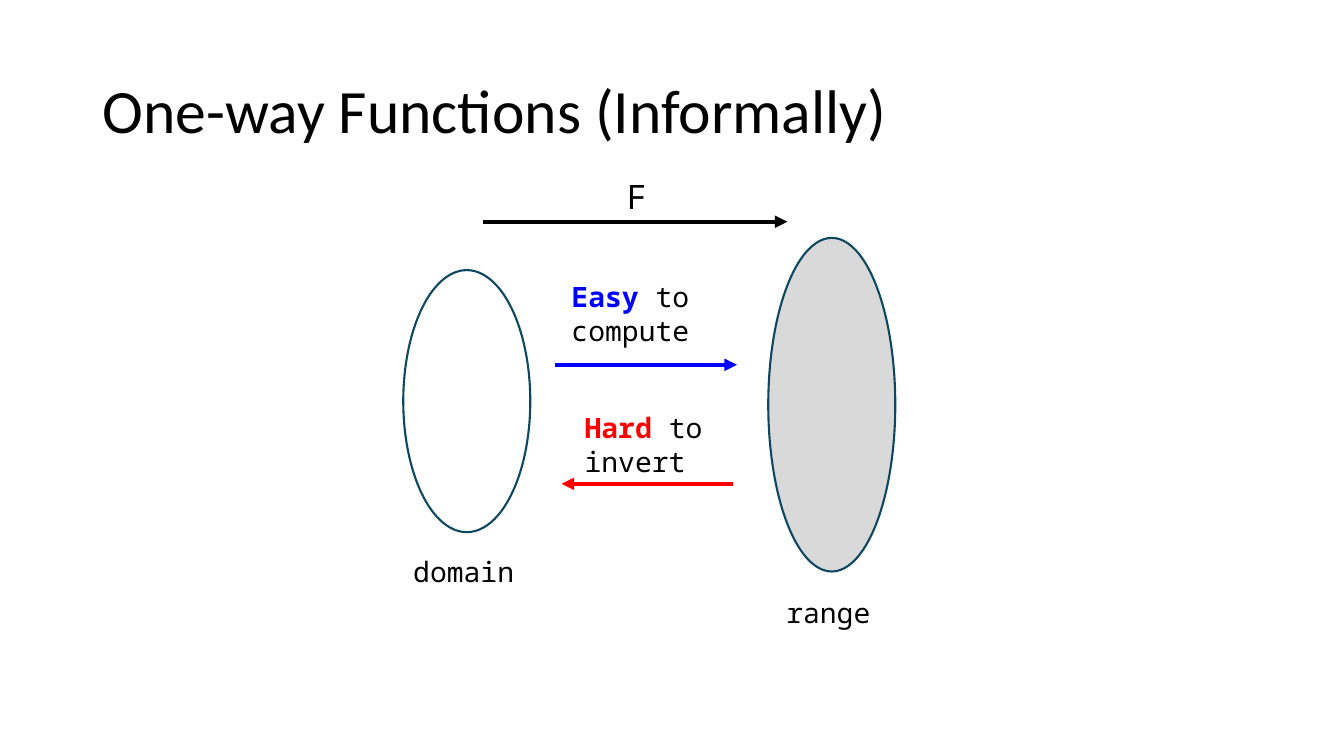
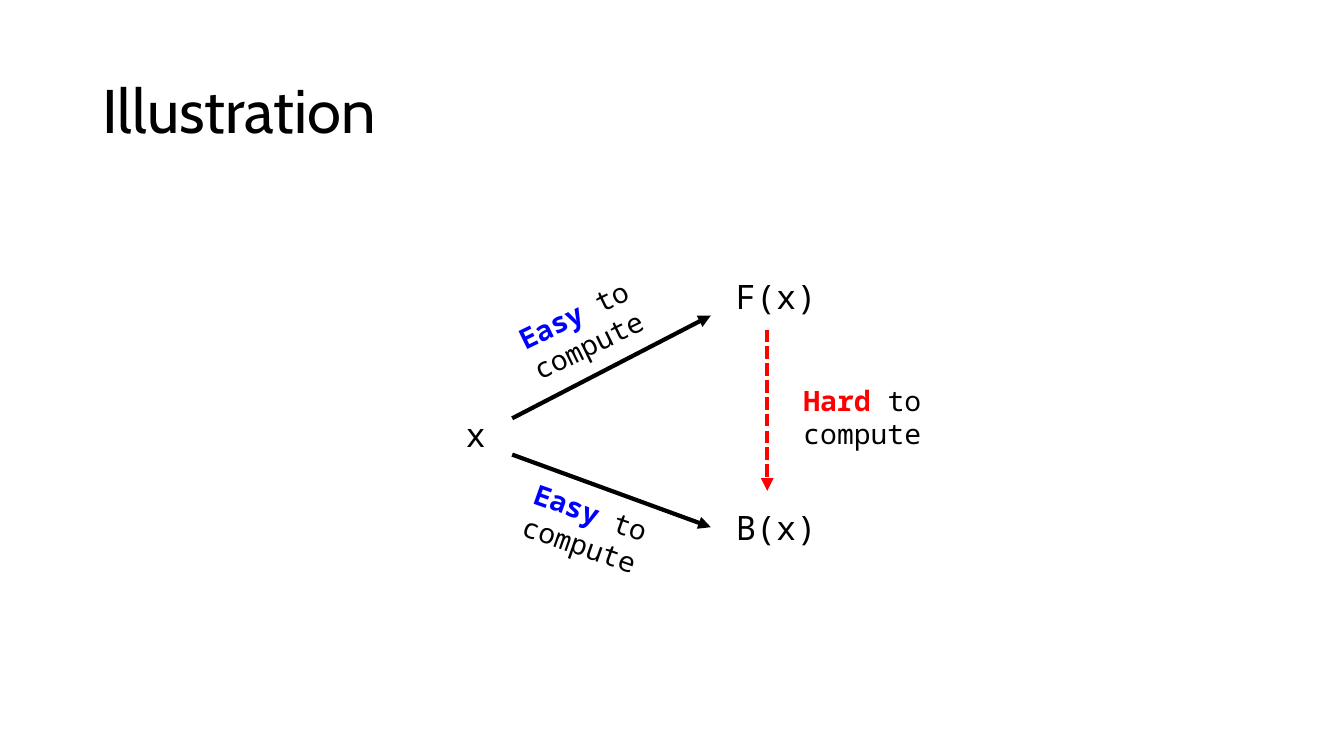
"""Build two slides that introduce one-way functions."""
from dataclasses import dataclass

from lxml import etree
from pptx import Presentation
from pptx import util as u
from pptx.dml.color import RGBColor
from pptx.enum import dml, shapes, text
from pptx.oxml import ns
from pptx.presentation import Presentation as Deck
from pptx.slide import Slide


@dataclass(frozen=True)
class Theme:
    ink: str = "000000"
    easy: str = "0000FF"
    hard: str = "FF0000"
    paper: str = "FFFFFF"
    shade: str = "D9D9D9"
    outline: str = "104760"
    mono: str = "Noto Sans Mono"
    title_pt: int = 44
    symbol_pt: int = 24
    label_pt: int = 20
    arrow_pt: float = 3
    outline_pt: float = 1.5


THEME = Theme()


@dataclass(frozen=True)
class Box:
    left: float
    top: float
    width: float
    height: float = 0.92

    def lengths(self) -> tuple[u.Length, ...]:
        return tuple(u.Inches(v) for v in (self.left, self.top, self.width, self.height))


TITLE_BOX = Box(0.92, 0.4, 11.5, 1.45)


@dataclass(frozen=True)
class Oval:
    box: Box
    fill: str


@dataclass(frozen=True)
class Arrow:
    start: tuple[float, float]
    end: tuple[float, float]
    color: str = THEME.ink
    dashed: bool = False


@dataclass(frozen=True)
class Label:
    box: Box
    wording: str
    size: int = THEME.label_pt
    keyword: str = ""
    color: str = THEME.ink
    rotation: float = 0


@dataclass(frozen=True)
class Page:
    title: str
    title_font: str
    diagram: tuple[Oval | Arrow | Label, ...]


def easy(box: Box, rotation: float = 0) -> Label:
    return Label(box, " to \ncompute", keyword="Easy", color=THEME.easy, rotation=rotation)


def hard(box: Box, verb: str) -> Label:
    return Label(box, f" to \n{verb}", keyword="Hard", color=THEME.hard)


def symbol(box: Box, wording: str) -> Label:
    return Label(box, wording, size=THEME.symbol_pt)


PAGES = (
    Page("One-way Functions (Informally)", "Calibri", (
        Oval(Box(4, 2.68, 1.26, 2.6), THEME.paper),
        Oval(Box(7.62, 2.36, 1.26, 3.31), THEME.shade),
        Arrow((4.79, 2.2), (7.81, 2.2)),
        symbol(Box(6.12, 1.48, 0.63), "F"),
        Label(Box(4, 5.21, 1.65), "domain"),
        Label(Box(7.7, 5.61, 1.65), "range"),
        Arrow((5.5, 3.62), (7.31, 3.62), THEME.easy),
        easy(Box(5.57, 2.65, 2.9)),
        Arrow((7.27, 4.8), (5.57, 4.8), THEME.hard),
        hard(Box(5.7, 3.95, 2.9), "invert"),
    )),
    Page("Illustration", "Cabin", (
        symbol(Box(4.52, 3.85, 0.63), "x"),
        Arrow((5.08, 4.15), (7.05, 3.13)),
        easy(Box(5, 2.43, 2.9, 1.01), rotation=-26),
        Arrow((5.08, 4.51), (7.05, 5.23)),
        easy(Box(5.08, 4.99, 2.9, 1.01), rotation=19.4),
        symbol(Box(7.2, 2.48, 1.32), "F(x)"),
        symbol(Box(7.2, 4.77, 1.32), "B(x)"),
        Arrow((7.61, 3.27), (7.61, 4.87), THEME.hard, dashed=True),
        hard(Box(7.87, 3.63, 2.9, 1.01), "compute"),
    )),
)


def add_run(paragraph, wording: str, font: str, size: int,
            color: str = THEME.ink, bold: bool = False) -> None:
    run = paragraph.add_run()
    run.text = wording
    run.font.name = font
    run.font.size = u.Pt(size)
    run.font.bold = bold
    run.font.color.rgb = RGBColor.from_string(color)


def set_title(slide: Slide, wording: str, font: str) -> None:
    title = slide.shapes.title
    title.left, title.top, title.width, title.height = TITLE_BOX.lengths()
    title.text_frame.vertical_anchor = text.MSO_ANCHOR.MIDDLE
    paragraph = title.text_frame.paragraphs[0]
    paragraph.alignment = text.PP_ALIGN.LEFT
    paragraph.line_spacing = 0.9
    add_run(paragraph, wording, font, THEME.title_pt)


def draw_oval(slide: Slide, oval: Oval) -> None:
    ellipse = slide.shapes.add_shape(shapes.MSO_SHAPE.OVAL, *oval.box.lengths())
    ellipse.shadow.inherit = False
    ellipse.fill.solid()
    ellipse.fill.fore_color.rgb = RGBColor.from_string(oval.fill)
    ellipse.line.color.rgb = RGBColor.from_string(THEME.outline)
    ellipse.line.width = u.Pt(THEME.outline_pt)


def draw_arrow(slide: Slide, arrow: Arrow) -> None:
    ends = (u.Inches(v) for v in (*arrow.start, *arrow.end))
    connector = slide.shapes.add_connector(shapes.MSO_CONNECTOR.STRAIGHT, *ends)
    connector.line.color.rgb = RGBColor.from_string(arrow.color)
    connector.line.width = u.Pt(THEME.arrow_pt)
    if arrow.dashed:
        connector.line.dash_style = dml.MSO_LINE.SQUARE_DOT
    properties = connector._element.spPr
    outline = properties.find(ns.qn("a:ln"))
    etree.SubElement(outline, ns.qn("a:tailEnd"), type="triangle")
    etree.SubElement(properties, ns.qn("a:effectLst"))


def draw_label(slide: Slide, label: Label) -> None:
    caption = slide.shapes.add_textbox(*label.box.lengths())
    caption.rotation = label.rotation
    frame = caption.text_frame
    frame.word_wrap = True
    frame.vertical_anchor = text.MSO_ANCHOR.MIDDLE
    paragraph = frame.paragraphs[0]
    if label.keyword:
        add_run(paragraph, label.keyword, THEME.mono, label.size, label.color, bold=True)
    for index, line in enumerate(label.wording.split("\n")):
        if index:
            paragraph.add_line_break()
        add_run(paragraph, line, THEME.mono, label.size)


DRAWERS = {Oval: draw_oval, Arrow: draw_arrow, Label: draw_label}


def build_page(deck: Deck, page: Page) -> None:
    slide = deck.slides.add_slide(deck.slide_layouts.get_by_name("Title Only"))
    slide.background.fill.solid()
    slide.background.fill.fore_color.rgb = RGBColor.from_string(THEME.paper)
    set_title(slide, page.title, page.title_font)
    for figure in page.diagram:
        DRAWERS[type(figure)](slide, figure)


def main() -> None:
    deck = Presentation()
    deck.slide_width, deck.slide_height = u.Inches(13.33), u.Inches(7.5)
    for page in PAGES:
        build_page(deck, page)
    deck.save("out.pptx")


if __name__ == "__main__":
    main()
